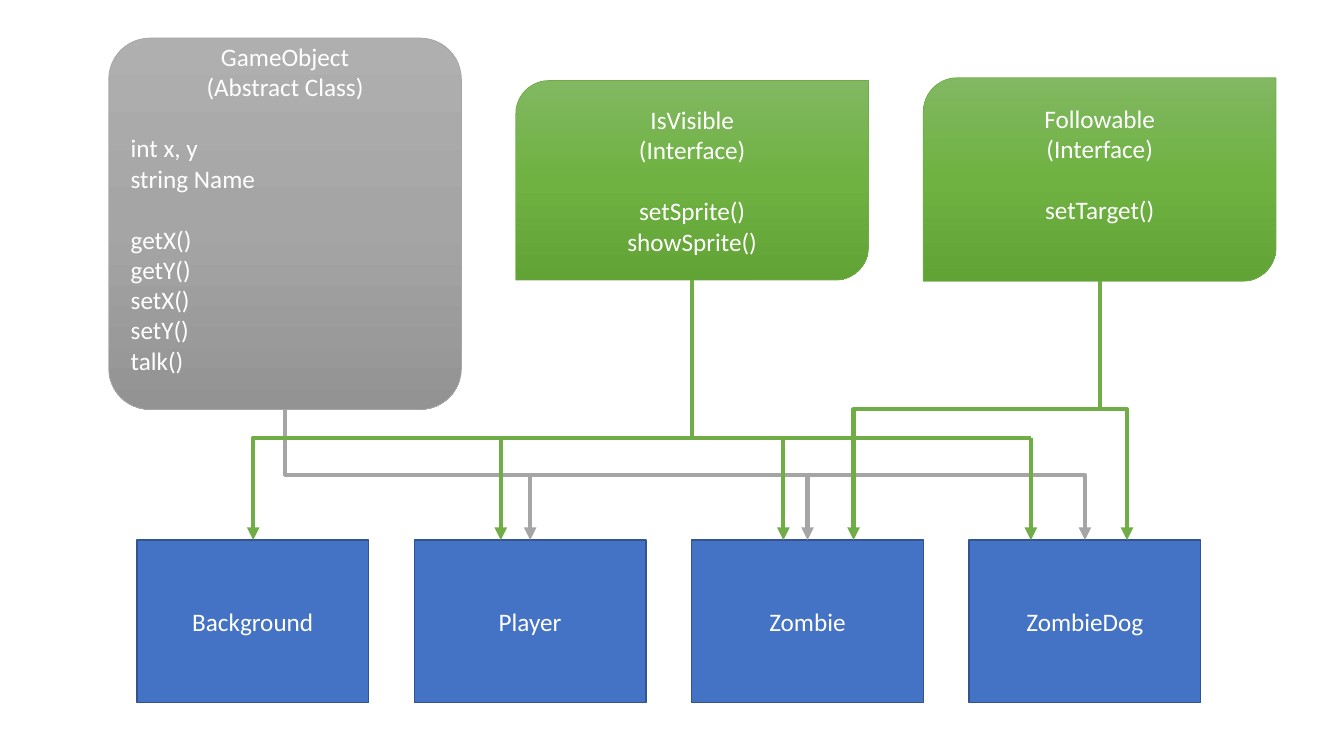
"""Class diagram: one abstract class, two interfaces and four game classes."""
from copy import deepcopy
from dataclasses import dataclass

from lxml import etree
from pptx import Presentation
from pptx.dml.color import RGBColor
from pptx.enum.shapes import MSO_CONNECTOR, MSO_SHAPE
from pptx.enum.text import MSO_ANCHOR, PP_ALIGN
from pptx.oxml.ns import qn
from pptx.util import Cm, Pt

ROUNDED = MSO_SHAPE.ROUNDED_RECTANGLE
DIAGONAL = MSO_SHAPE.ROUND_2_DIAG_RECTANGLE
RECTANGLE = MSO_SHAPE.RECTANGLE
ELBOW, STRAIGHT = MSO_CONNECTOR.ELBOW, MSO_CONNECTOR.STRAIGHT
CENTER, LEFT = PP_ALIGN.CENTER, PP_ALIGN.LEFT
MIDDLE = MSO_ANCHOR.MIDDLE
BOTTOM_SITE, TOP_SITE = 2, 0


@dataclass(frozen=True)
class Theme:
    font: str = "Calibri"
    size: int = 18
    group_gap: int = 22
    text: str = "FFFFFF"
    blue: str = "4472C4"
    blue_edge: str = "325491"
    gray: str = "A5A5A5"
    green: str = "70AD47"
    gray_blend: tuple = ("AFAFAF", "A5A5A5", "939393")
    green_blend: tuple = ("81B861", "6FB242", "62A336")
    link_width: int = 3


theme = Theme()


def write_text(box, groups, body_align=CENTER, bottom=0.13):
    """Write groups of lines, set apart by paragraph spacing."""
    frame = box.text_frame
    frame.word_wrap = True
    frame.vertical_anchor = MIDDLE
    frame.margin_bottom = Cm(bottom)
    for g, lines in enumerate(groups):
        for n, line in enumerate(lines):
            para = frame.paragraphs[0] if g == n == 0 else frame.add_paragraph()
            para.alignment = body_align if g else CENTER
            if g and n == 0:
                para.space_before = Pt(theme.group_gap)
            span = para.add_run()
            span.text = line
            span.font.name = theme.font
            span.font.size = Pt(theme.size)
            span.font.color.rgb = RGBColor.from_string(theme.text)


def add_link(start, end, color, bend=None, arrow=True, ends=None):
    """Link two points in cm, turning at the height bend if given."""
    (x1, y1), (x2, y2) = start, end
    link = page.shapes.add_connector(
        STRAIGHT if bend is None else ELBOW, Cm(x1), Cm(y1), Cm(x2), Cm(y2))
    link.line.color.rgb = RGBColor.from_string(color)
    link.line.width = Pt(theme.link_width)
    properties = link._element.spPr
    if arrow:
        etree.SubElement(properties.find(qn("a:ln")), qn("a:tailEnd"), type="triangle")
    etree.SubElement(properties, qn("a:effectLst"))
    if ends:
        link.begin_connect(ends[0], BOTTOM_SITE)
        link.end_connect(ends[1], TOP_SITE)
    if bend is not None:
        drop, reach = y2 - y1, abs(x2 - x1)
        link.left, link.top = Cm((x1 + x2 - drop) / 2), Cm((y1 + y2 - reach) / 2)
        link.width, link.height = Cm(drop), Cm(reach)
        frame = properties.find(qn("a:xfrm"))
        for flip in ("flipH", "flipV"):
            frame.attrib.pop(flip, None)
        frame.set("rot", "16200000" if x2 > x1 else "5400000")
        if x2 > x1:
            frame.set("flipH", "1")
        guides = properties.find(qn("a:prstGeom")).get_or_add_avLst()
        ratio = round((bend - y1) / drop * 100000)
        etree.SubElement(guides, qn("a:gd"), name="adj1", fmla=f"val {ratio}")


deck = Presentation()
deck.slide_width, deck.slide_height = Cm(33.87), Cm(19.05)
page = deck.slides.add_slide(deck.slide_layouts[6])

CLASS_LEFT, CLASS_TOP, CLASS_PITCH = 3.45, 13.61, 6.99
CLASS_WIDTH, CLASS_HEIGHT = 5.84, 4.09
PARENT_WIDTH = 8.89

classes = []
for column, name in enumerate(("Background", "Player", "Zombie", "ZombieDog")):
    box = page.shapes.add_shape(
        RECTANGLE, Cm(CLASS_LEFT + column * CLASS_PITCH), Cm(CLASS_TOP),
        Cm(CLASS_WIDTH), Cm(CLASS_HEIGHT))
    box.shadow.inherit = False
    box.fill.solid()
    box.fill.fore_color.rgb = RGBColor.from_string(theme.blue)
    box.line.color.rgb = RGBColor.from_string(theme.blue_edge)
    box.line.width = Pt(1)
    write_text(box, [[name]])
    classes.append(box)

parents = [
    (ROUNDED, 2.74, 0.96, 9.36, theme.gray, theme.gray_blend, LEFT, 0.9,
     [["GameObject", "(Abstract Class)"], ["int x, y", "string Name"],
      ["getX()", "getY()", "setX()", "setY()", "talk()"]]),
    (DIAGONAL, 13.0, 2.03, 5.03, theme.green, theme.green_blend, CENTER, 0.13,
     [["IsVisible", "(Interface)"], ["setSprite()", "showSprite()"]]),
    (DIAGONAL, 23.27, 1.96, 5.13, theme.green, theme.green_blend, CENTER, 0.9,
     [["Followable", "(Interface)"], ["setTarget()"]]),
]
parent_boxes, outlets = [], []
for kind, left, top, height, edge, blend, align, bottom, groups in parents:
    box = page.shapes.add_shape(kind, Cm(left), Cm(top), Cm(PARENT_WIDTH), Cm(height))
    box.shadow.inherit = False
    if kind == ROUNDED:
        box.adjustments[0] = 0.117
    box.fill.gradient()
    box.fill.gradient_angle = 270
    stops = box._element.spPr.find(qn("a:gradFill")).find(qn("a:gsLst"))
    stops.append(deepcopy(stops[-1]))
    for stop, color, position in zip(box.fill.gradient_stops, blend, (0, 0.5, 1)):
        stop.color.rgb = RGBColor.from_string(color)
        stop.position = position
    box.line.color.rgb = RGBColor.from_string(edge)
    box.line.width = Pt(0.5)
    write_text(box, groups, body_align=align, bottom=bottom)
    parent_boxes.append(box)
    outlets.append((left + PARENT_WIDTH / 2, top + height))

game_object, visible, followable = outlets
for column in (1, 2, 3):
    center = CLASS_LEFT + column * CLASS_PITCH + CLASS_WIDTH / 2
    add_link(game_object, (center, CLASS_TOP), theme.gray,
             bend=(game_object[1] + CLASS_TOP) / 2,
             ends=(parent_boxes[0], classes[column]))

VISIBLE_BEND, FOLLOW_BEND, LAST_VISIBLE = 11.03, 10.32, 25.98
for outlet, bend, targets in (
        (visible, VISIBLE_BEND, (6.38, 12.62, 19.74)),
        (followable, FOLLOW_BEND, (28.4, 21.51))):
    for target in targets:
        add_link(outlet, (target, CLASS_TOP), theme.green, bend=bend)

corner = (LAST_VISIBLE, VISIBLE_BEND)
add_link((visible[0], VISIBLE_BEND), corner, theme.green, arrow=False)
add_link(corner, (LAST_VISIBLE, CLASS_TOP), theme.green)

deck.save("out.pptx")
